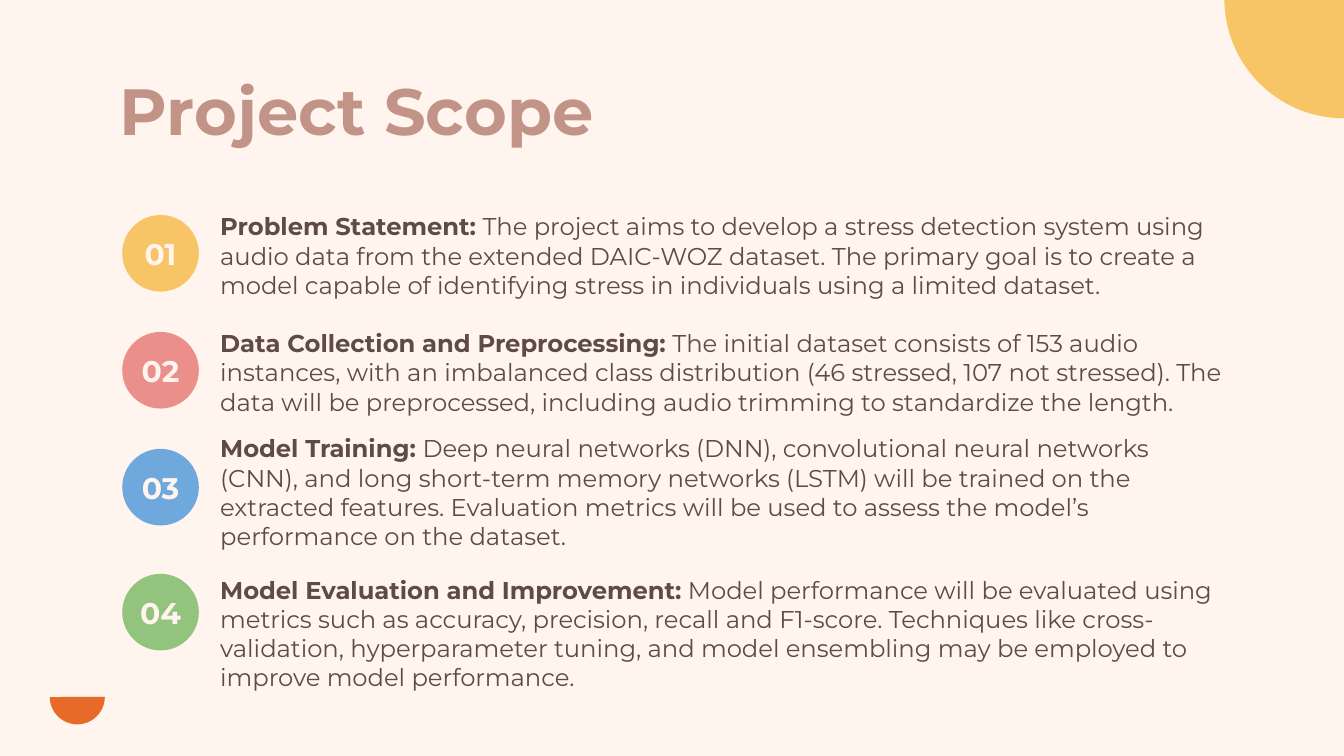
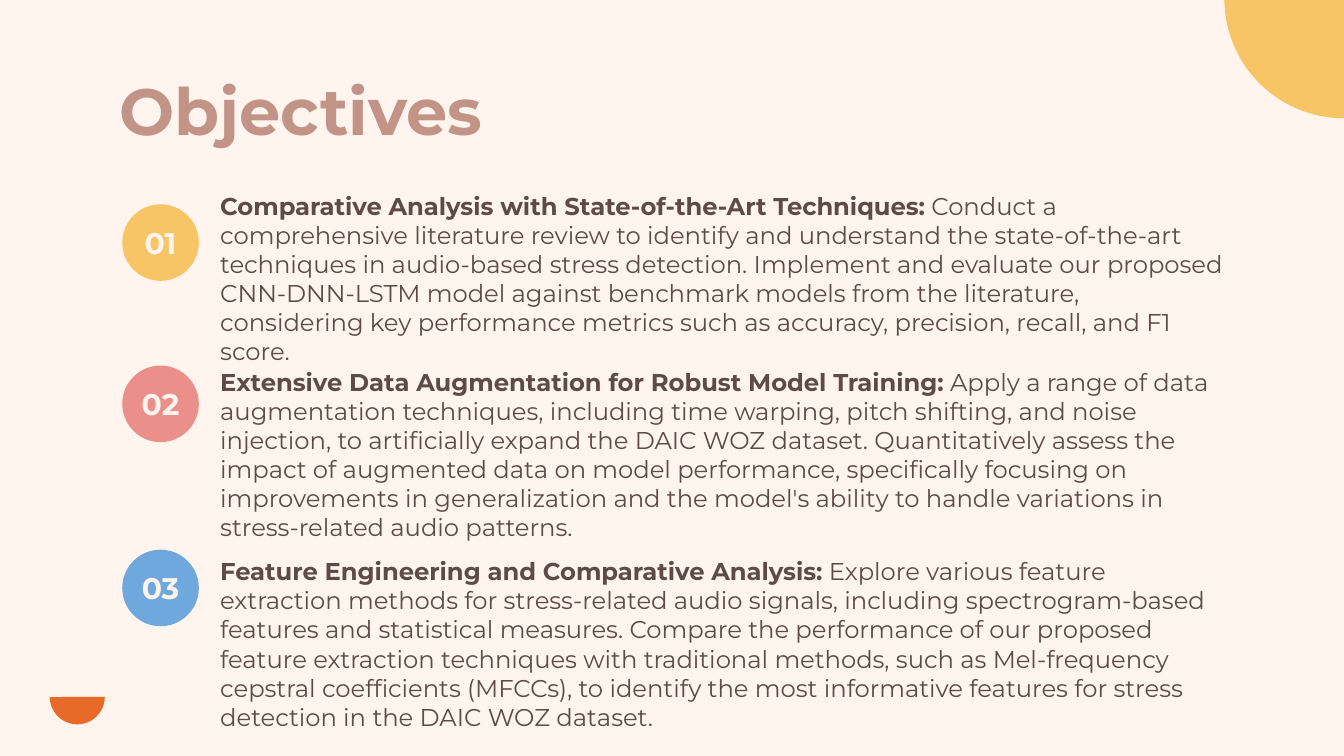
from dataclasses import dataclass

from pptx import Presentation
from pptx.dml.color import RGBColor
from pptx.enum.shapes import MSO_SHAPE
from pptx.enum.text import MSO_ANCHOR, PP_ALIGN
from pptx.util import Emu, Pt

PX = 4572  # EMU per px, 200 px to the inch
SLIDE_W, SLIDE_H = 2000, 1125

CREAM = RGBColor(0xFF, 0xF4, 0xEE)
ROSE = RGBColor(0xC2, 0x94, 0x88)
BROWN = RGBColor(0x5E, 0x4B, 0x46)
YELLOW = RGBColor(0xF7, 0xC5, 0x66)
PINK = RGBColor(0xEB, 0x8F, 0x8B)
BLUE = RGBColor(0x6F, 0xA8, 0xDC)
GREEN = RGBColor(0x93, 0xC4, 0x7D)
ORANGE = RGBColor(0xE7, 0x6A, 0x28)
BADGE_COLORS = (YELLOW, PINK, BLUE, GREEN)

FONT = "Montserrat"
OVAL, PIE = MSO_SHAPE.OVAL, MSO_SHAPE.PIE
TOP, MIDDLE = MSO_ANCHOR.TOP, MSO_ANCHOR.MIDDLE
LEFT, CENTER = PP_ALIGN.LEFT, PP_ALIGN.CENTER

INSET = 20
TITLE_BOX = (158, 98, 1686, 244)
BADGE_X, BADGE_SIZE = 182, 114
TEXT_X, TEXT_W = 308, 1536


@dataclass(frozen=True)
class Pie:
    x: int
    y: int
    size: int
    start: float
    end: float
    color: RGBColor


@dataclass(frozen=True)
class Item:
    badge_y: int
    text_y: int
    text_h: int
    heading: str
    body: str


@dataclass(frozen=True)
class Page:
    title: str
    items: tuple[Item, ...]


# Pie angles are in units of 100000/60000 degrees: 54 is 90 degrees
CORNER_PIES = (
    Pie(1822, -180, 356, 54, 108, YELLOW),
    Pie(74, 996, 82, 0, 107.55, ORANGE),
)

PAGES = (
    Page("Project Scope", (
        Item(320, 294, 172, "Problem Statement:",
             "The project aims to develop a stress detection system using audio data "
             "from the extended DAIC-WOZ dataset. The primary goal is to create a model "
             "capable of identifying stress in individuals using a limited dataset."),
        Item(494, 468, 172, "Data Collection and Preprocessing:",
             "The initial dataset consists of 153 audio instances, with an imbalanced "
             "class distribution (46 stressed, 107 not stressed). The data will be "
             "preprocessed, including audio trimming to standardize the length."),
        Item(668, 624, 216, "Model Training:",
             "Deep neural networks (DNN), convolutional neural networks (CNN), and long "
             "short-term memory networks (LSTM) will be trained on the extracted features. "
             "Evaluation metrics will be used to assess the model’s performance on the "
             "dataset."),
        Item(854, 800, 284, "Model Evaluation and Improvement:",
             "Model performance will be evaluated using metrics such as accuracy, "
             "precision, recall and F1-score. Techniques like cross-validation, "
             "hyperparameter tuning, and model ensembling may be employed to improve "
             "model performance."),
    )),
    Page("Objectives", (
        Item(304, 263, 302, "Comparative Analysis with State-of-the-Art Techniques:",
             "Conduct a comprehensive literature review to identify and understand the "
             "state-of-the-art techniques in audio-based stress detection. Implement and "
             "evaluate our proposed CNN-DNN-LSTM model against benchmark models from the "
             "literature, considering key performance metrics such as accuracy, precision, "
             "recall, and F1 score."),
        Item(544, 525, 302, "Extensive Data Augmentation for Robust Model Training:",
             "Apply a range of data augmentation techniques, including time warping, pitch "
             "shifting, and noise injection, to artificially expand the DAIC WOZ dataset. "
             "Quantitatively assess the impact of augmented data on model performance, "
             "specifically focusing on improvements in generalization and the model's "
             "ability to handle variations in stress-related audio patterns."),
        Item(818, 807, 302, "Feature Engineering and Comparative Analysis:",
             "Explore various feature extraction methods for stress-related audio signals, "
             "including spectrogram-based features and statistical measures. Compare the "
             "performance of our proposed feature extraction techniques with traditional "
             "methods, such as Mel-frequency cepstral coefficients (MFCCs), to identify the "
             "most informative features for stress detection in the DAIC WOZ dataset."),
    )),
)


def px(*lengths: int) -> list[Emu]:
    """Turn px lengths into EMU."""
    return [Emu(n * PX) for n in lengths]


def write(sp, bold: str, plain: str = "", *, size: int, color: RGBColor,
          align=LEFT, anchor=MIDDLE, inset: int = INSET,
          line_spacing: float | None = None) -> None:
    """Fill a shape with one paragraph: a bold run, then an optional plain run."""
    tf = sp.text_frame
    tf.word_wrap = True
    tf.vertical_anchor = anchor
    tf.margin_left, tf.margin_top, tf.margin_right, tf.margin_bottom = px(*[inset] * 4)
    p = tf.paragraphs[0]
    p.alignment = align
    p.line_spacing = line_spacing
    for text, is_bold in ((bold, True), (plain, False)):
        if text:
            r = p.add_run()
            r.text = text
            r.font.name = FONT
            r.font.size = Pt(size)
            r.font.bold = is_bold
            r.font.color.rgb = color


def add_filled(s, kind, x: int, y: int, size: int, color: RGBColor):
    sp = s.shapes.add_shape(kind, *px(x, y, size, size))
    sp.shadow.inherit = False
    sp.fill.solid()
    sp.fill.fore_color.rgb = color
    sp.line.fill.background()
    return sp


def add_pie(s, pie: Pie) -> None:
    sp = add_filled(s, PIE, pie.x, pie.y, pie.size, pie.color)
    sp.adjustments[0] = pie.start
    sp.adjustments[1] = pie.end


def add_item(s, number: int, item: Item) -> None:
    sp = s.shapes.add_textbox(*px(TEXT_X, item.text_y, TEXT_W, item.text_h))
    write(sp, item.heading + " ", item.body, size=13, color=BROWN)
    badge = add_filled(s, OVAL, BADGE_X, item.badge_y, BADGE_SIZE, BADGE_COLORS[number - 1])
    write(badge, f"{number:02d}", size=16, color=CREAM, align=CENTER, inset=0)


def add_page(prs, page: Page) -> None:
    s = prs.slides.add_slide(prs.slide_layouts[6])
    s.background.fill.solid()
    s.background.fill.fore_color.rgb = CREAM
    for pie in CORNER_PIES:
        add_pie(s, pie)
    title = s.shapes.add_textbox(*px(*TITLE_BOX))
    write(title, page.title, size=35, color=ROSE, anchor=TOP, line_spacing=0.9)
    for number, item in enumerate(page.items, 1):
        add_item(s, number, item)


def main() -> None:
    prs = Presentation()
    prs.slide_width, prs.slide_height = px(SLIDE_W, SLIDE_H)
    for page in PAGES:
        add_page(prs, page)
    prs.save("out.pptx")


if __name__ == "__main__":
    main()
